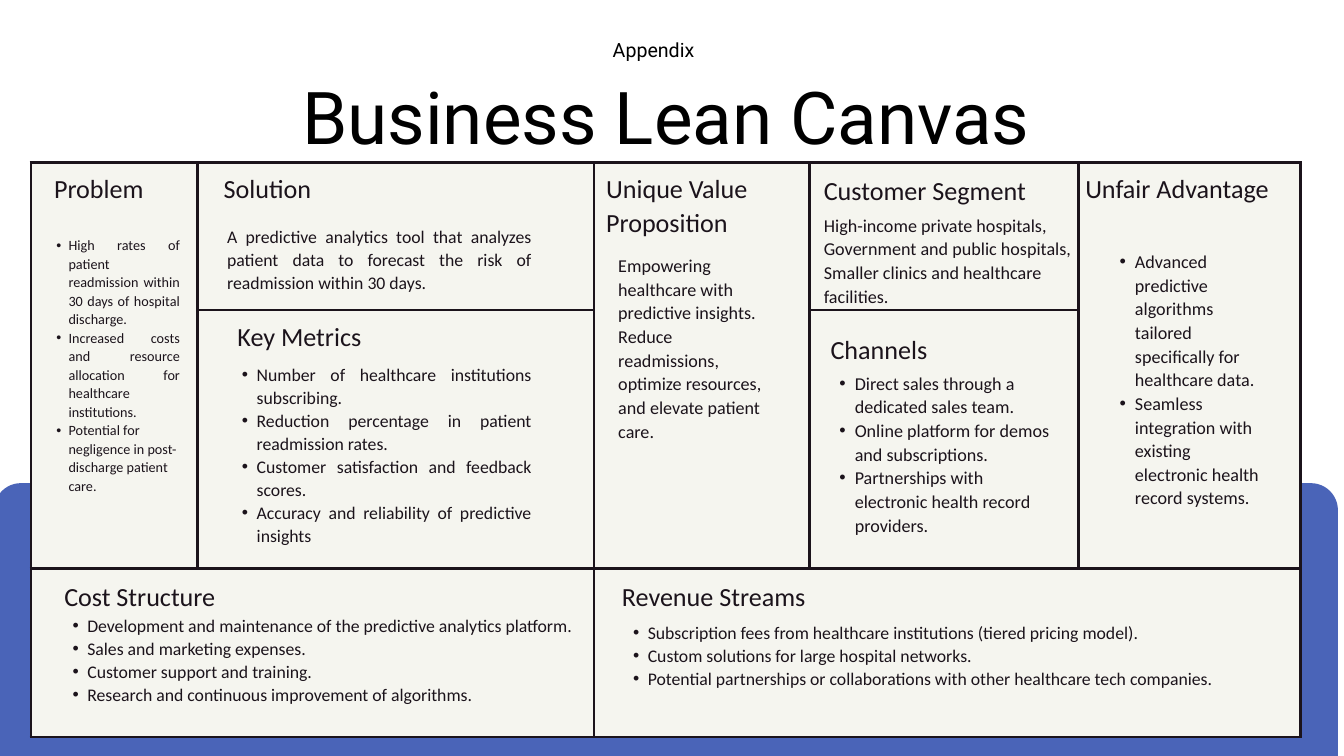
from dataclasses import dataclass
from itertools import product

from lxml.etree import SubElement
from pptx import Presentation
from pptx.dml.color import RGBColor
from pptx.enum.shapes import MSO_SHAPE
from pptx.enum.text import MSO_ANCHOR, MSO_AUTO_SIZE, PP_ALIGN
from pptx.oxml.ns import qn
from pptx.util import Emu, Pt

PX = 9144  # EMU per px, 100 px to the inch
LEFT, CENTER, JUSTIFY = PP_ALIGN.LEFT, PP_ALIGN.CENTER, PP_ALIGN.JUSTIFY


def px(length):
    return Emu(length * PX)


@dataclass(frozen=True)
class TextStyle:
    size: float
    leading: float
    font: str = "Calibri"
    color: str = "1B131B"


@dataclass(frozen=True)
class Theme:
    band: str = "4A64B8"
    cell: str = "F5F5EF"
    border: str = "1B131B"
    border_width: int = 3
    title: TextStyle = TextStyle(78, 93.6, "Roboto", "000000")
    label: TextStyle = TextStyle(21, 29.4, "Roboto", "000000")
    heading: TextStyle = TextStyle(28, 36.4)
    large: TextStyle = TextStyle(19.4, 25.3)
    medium: TextStyle = TextStyle(19, 24.7)
    small: TextStyle = TextStyle(15.2, 19.8)


class CanvasSlide:
    """Draws the parts of a lean canvas on one slide."""

    def __init__(self, slide, theme):
        self.slide = slide
        self.theme = theme
        self.free_bodies = list(slide.placeholders)[1:]

    def _place(self, shape, box):
        """Set position and plain text frame, and bring the shape to the front."""
        shape.left, shape.top, shape.width, shape.height = map(px, box)
        self.slide.shapes._spTree.append(shape._element)
        frame = shape.text_frame
        frame.margin_left = frame.margin_right = 0
        frame.margin_top = frame.margin_bottom = 0
        frame.word_wrap = True
        frame.auto_size = MSO_AUTO_SIZE.NONE
        frame.vertical_anchor = MSO_ANCHOR.TOP
        return frame

    def _text_box(self, box):
        return self.slide.shapes.add_textbox(*map(px, box))

    def _write(self, paragraph, text, style, align):
        paragraph.alignment = align
        paragraph.line_spacing = Pt(style.leading)
        paragraph.space_before = Pt(0)
        run = paragraph.add_run()
        run.text = text
        run.font.name = style.font
        run.font.size = Pt(style.size)
        run.font.bold = False
        run.font.color.rgb = RGBColor.from_string(style.color)

    def _bullet(self, paragraph, style):
        hang = px(round(style.size * 1.18))
        properties = paragraph._p.get_or_add_pPr()
        properties.set("marL", str(2 * hang))
        properties.set("indent", str(-hang))
        SubElement(properties, qn("a:buFont"), typeface="Arial")
        SubElement(properties, qn("a:buChar"), char="•")

    def title(self, box, text):
        frame = self._place(self.slide.shapes.title, box)
        self._write(frame.paragraphs[0], text, self.theme.title, CENTER)

    def text(self, box, text, style, align=LEFT):
        frame = self._place(self._text_box(box), box)
        self._write(frame.paragraphs[0], text, style, align)

    def bullets(self, box, items, style, align=LEFT, last_align=None):
        """Fill a body placeholder, or a text box once none is left."""
        holder = self.free_bodies.pop(0) if self.free_bodies else self._text_box(box)
        frame = self._place(holder, box)
        for number, item in enumerate(items, 1):
            paragraph = frame.paragraphs[0] if number == 1 else frame.add_paragraph()
            paragraph.level = 1
            self._bullet(paragraph, style)
            is_last = number == len(items)
            self._write(paragraph, item, style, last_align if is_last and last_align is not None else align)

    def band(self, box, roundness):
        band = self.slide.shapes.add_shape(MSO_SHAPE.ROUNDED_RECTANGLE, *map(px, box))
        band.adjustments[0] = roundness
        band.shadow.inherit = False
        band.fill.solid()
        band.fill.fore_color.rgb = RGBColor.from_string(self.theme.band)
        band.line.fill.background()

    def _border(self, cell):
        properties = cell._tc.get_or_add_tcPr()
        for side in ("L", "R", "T", "B"):
            line = SubElement(properties, qn(f"a:ln{side}"), w=str(Pt(self.theme.border_width)))
            fill = SubElement(line, qn("a:solidFill"))
            SubElement(fill, qn("a:srgbClr"), val=self.theme.border)

    def grid(self, left, top, columns, rows, merges):
        table = self.slide.shapes.add_table(
            len(rows), len(columns), px(left), px(top), px(sum(columns)), px(sum(rows))
        ).table
        table.first_row = table.horz_banding = False
        for column, width in zip(table.columns, columns):
            column.width = px(width)
        for row, height in zip(table.rows, rows):
            row.height = px(height)
        for row, column in product(range(len(rows)), range(len(columns))):
            cell = table.cell(row, column)
            self._border(cell)
            cell.fill.solid()
            cell.fill.fore_color.rgb = RGBColor.from_string(self.theme.cell)
        for first, last in merges:
            table.cell(*first).merge(table.cell(*last))


def main():
    deck = Presentation()
    deck.slide_width, deck.slide_height = px(2000), px(1125)
    comparison_layout = deck.slide_layouts[4]
    theme = Theme()
    canvas = CanvasSlide(deck.slides.add_slide(comparison_layout), theme)

    canvas.band((-9, 719, 2000, 446), 0.09)
    canvas.title((369, 106, 1244, 130), "Business Lean Canvas")
    canvas.text((902, 50, 141, 39), "Appendix", theme.label, CENTER)
    canvas.grid(
        46, 242, (248, 590, 321, 400, 330), (219, 385, 251),
        [((0, 0), (1, 0)), ((0, 2), (1, 2)), ((0, 4), (1, 4)),
         ((2, 0), (2, 1)), ((2, 2), (2, 4))],
    )

    headings = [
        ("Problem", (46, 253, 202, 48), CENTER),
        ("Solution", (297, 253, 202, 48), CENTER),
        ("Key Metrics", (312, 473, 267, 48), CENTER),
        ("Cost Structure", (66, 860, 284, 48), CENTER),
        ("Revenue Streams", (888, 860, 348, 48), CENTER),
        ("Unique Value Proposition", (902, 253, 253, 98), LEFT),
        ("Customer Segment", (1226, 255, 346, 48), LEFT),
        ("Channels", (1236, 492, 346, 48), LEFT),
        ("Unfair Advantage", (1615, 253, 304, 98), LEFT),
    ]
    for heading, box, align in headings:
        canvas.text(box, heading, theme.heading, align)

    canvas.bullets((66, 350, 202, 405), [
        "High rates of patient readmission within 30 days of hospital discharge.",
        "Increased costs and resource allocation for healthcare institutions.",
        "Potential for negligence in post-discharge patient care.",
    ], theme.small, JUSTIFY, last_align=LEFT)
    canvas.text(
        (338, 333, 453, 99),
        "A predictive analytics tool that analyzes patient data to forecast "
        "the risk of readmission within 30 days.",
        theme.medium, JUSTIFY)
    canvas.bullets((338, 538, 453, 299), [
        "Number of healthcare institutions subscribing.",
        "Reduction percentage in patient readmission rates.",
        "Customer satisfaction and feedback scores.",
        "Accuracy and reliability of predictive insights",
    ], theme.medium, JUSTIFY)
    canvas.text(
        (920, 376, 235, 343),
        "Empowering healthcare with predictive insights. Reduce readmissions, "
        "optimize resources, and elevate patient care.",
        theme.large)
    canvas.text(
        (1226, 316, 373, 171),
        "High-income private hospitals, Government and public hospitals, "
        "Smaller clinics and healthcare facilities.",
        theme.large)
    canvas.bullets((1226, 551, 346, 274), [
        "Direct sales through a dedicated sales team.",
        "Online platform for demos and subscriptions.",
        "Partnerships with electronic health record providers.",
    ], theme.large)
    canvas.bullets((1643, 370, 240, 446), [
        "Advanced predictive algorithms tailored specifically for healthcare data.",
        "Seamless integration with existing electronic health record systems.",
    ], theme.large)
    canvas.bullets((86, 912, 785, 199), [
        "Development and maintenance of the predictive analytics platform.",
        "Sales and marketing expenses.",
        "Customer support and training.",
        "Research and continuous improvement of algorithms.",
    ], theme.medium, JUSTIFY)
    canvas.bullets((920, 922, 999, 133), [
        "Subscription fees from healthcare institutions (tiered pricing model).",
        "Custom solutions for large hospital networks.",
        "Potential partnerships or collaborations with other healthcare tech companies.",
    ], theme.medium, JUSTIFY)

    deck.save("out.pptx")


if __name__ == "__main__":
    main()
